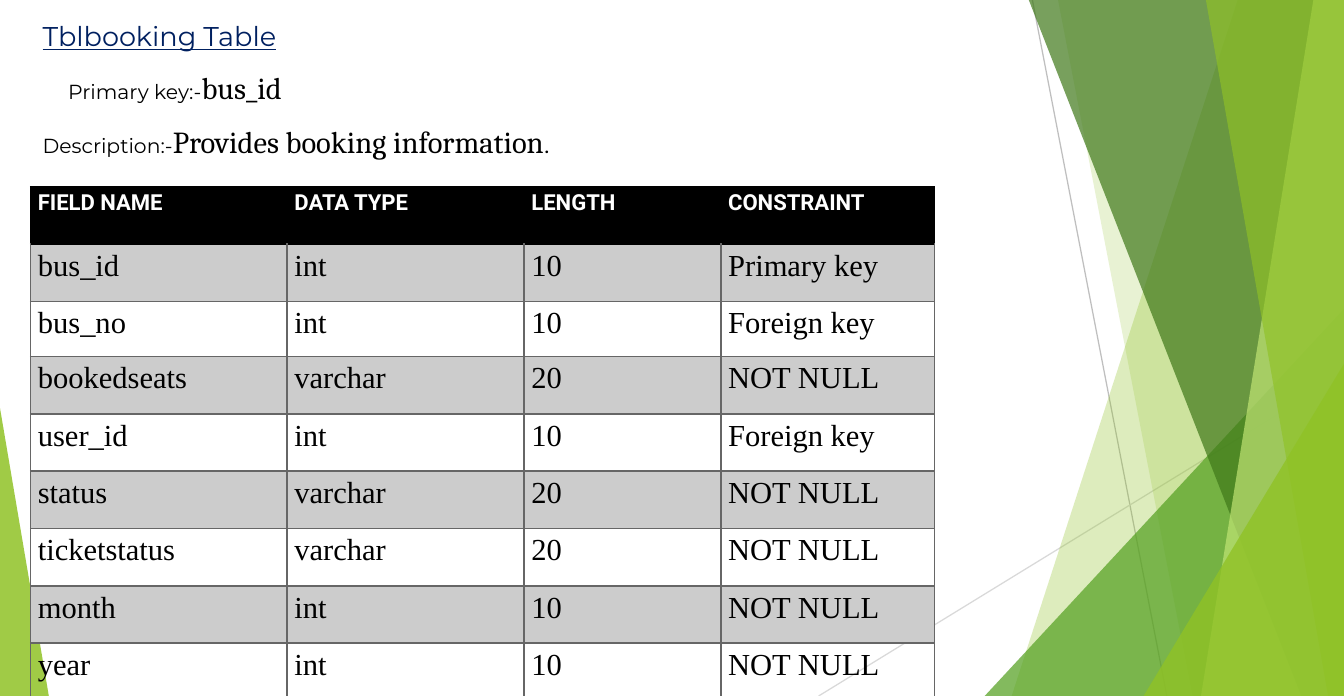
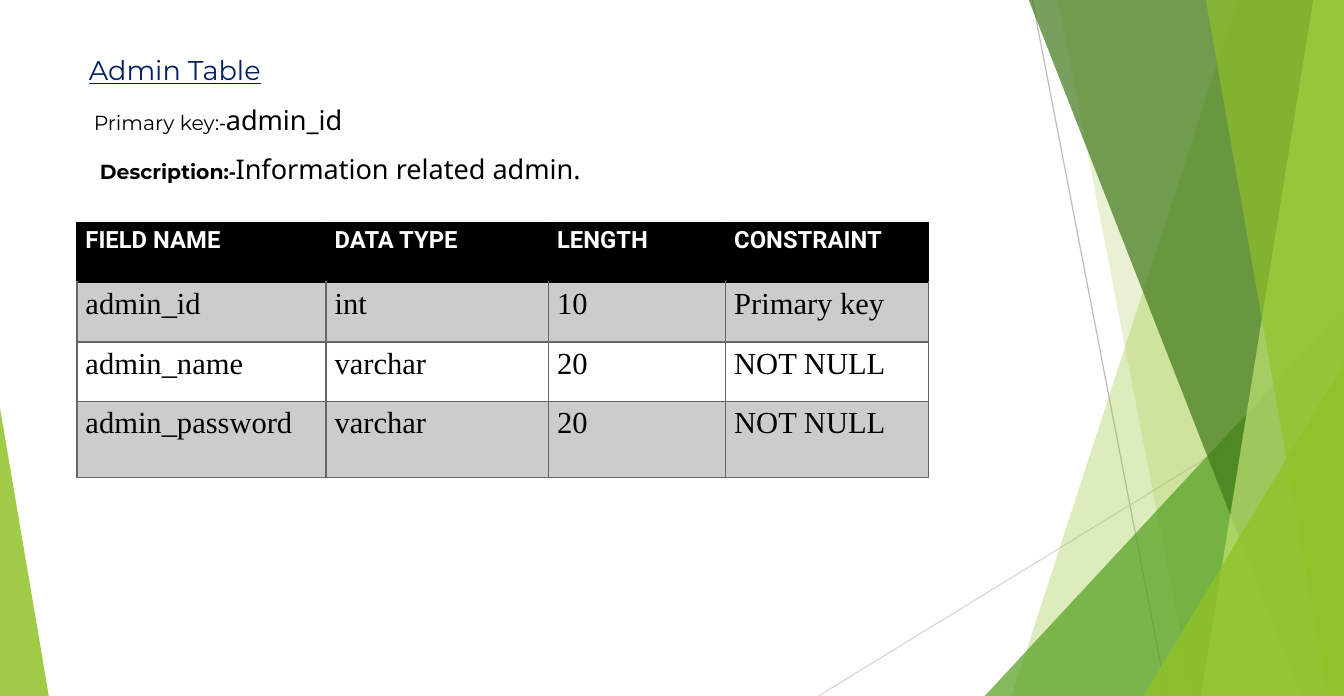
from dataclasses import dataclass, field

from lxml import etree
from pptx import Presentation
from pptx import util as u
from pptx.dml.color import RGBColor
from pptx.enum import shapes, text
from pptx.oxml import ns

WIDTH, HEIGHT = 11, 5.7


@dataclass
class Theme:
    """Colours, type styles and table measures."""
    lime: str = "90C226"
    green: str = "54A021"
    forest: str = "3F7819"
    pale_lime: str = "C0E474"
    rule: str = "BFBFBF"
    faint_rule: str = "D9D9D9"
    black: str = "000000"
    stripe: str = "CCCCCC"
    grid: str = "666666"
    line_spacing: float = 1.15
    styles: dict = field(default_factory=lambda: {
        "title": dict(name="Montserrat", size=16, color="002060", underline=True),
        "label": dict(name="Montserrat", size=12),
        "strong label": dict(name="Montserrat", size=12, bold=True),
        "dash": dict(name="Noto Sans", size=12),
        "strong dash": dict(name="Noto Sans", size=12, bold=True),
        "serif value": dict(name="Cambria", size=18),
        "sans value": dict(name="Noto Sans", size=16),
        "full stop": dict(name="Roboto", size=14),
        "header": dict(name="Roboto", size=13, color="FFFFFF", bold=True),
        "large header": dict(name="Roboto", size=14, color="FFFFFF", bold=True),
        "cell": dict(name="Times New Roman", size=18),
    })


class Deck:
    def __init__(self, theme):
        self.theme = theme
        self.prs = Presentation()
        self.prs.slide_width = u.Inches(WIDTH)
        self.prs.slide_height = u.Inches(HEIGHT)
        self.s = None

    def add_slide(self):
        self.s = self.prs.slides.add_slide(self.prs.slide_layouts[6])
        self.facets()

    # Shapes
    def line(self, start, end, color):
        ends = [u.Inches(v) for v in (*start, *end)]
        c = self.s.shapes.add_connector(shapes.MSO_CONNECTOR.STRAIGHT, *ends)
        c.line.color.rgb = RGBColor.from_string(color)
        c.line.width = u.Pt(0.75)
        etree.SubElement(c._element.spPr, ns.qn("a:effectLst"))

    def paint(self, sp, color, opacity):
        sp.shadow.inherit = False
        sp.line.fill.background()
        sp.fill.solid()
        sp.fill.fore_color.rgb = RGBColor.from_string(color)
        clr = sp._element.spPr.find(".//" + ns.qn("a:srgbClr"))
        etree.SubElement(clr, ns.qn("a:alpha"), val=str(opacity * 1000))

    def band(self, top_x, bottom_x, color, opacity):
        """Full-height band from a slanted left edge to the right slide edge."""
        corners = [(WIDTH, 0), (WIDTH, HEIGHT), (bottom_x, HEIGHT)]
        fb = self.s.shapes.build_freeform(u.Inches(top_x), 0)
        fb.add_line_segments([(u.Inches(x), u.Inches(y)) for x, y in corners])
        self.paint(fb.convert_to_shape(), color, opacity)

    def triangle(self, left, top, width, apex, color, opacity):
        """Triangle standing on the bottom slide edge."""
        box = [u.Inches(v) for v in (left, top, width, HEIGHT - top)]
        sp = self.s.shapes.add_shape(shapes.MSO_SHAPE.ISOSCELES_TRIANGLE, *box)
        sp.adjustments[0] = apex
        self.paint(sp, color, opacity)

    def facets(self):
        t = self.theme
        self.line((8.45, 0), (9.55, HEIGHT), t.rule)
        self.line((WIDTH, 3.06), (6.7, HEIGHT), t.faint_rule)
        self.band(10.13, 8.28, t.lime, 30)
        self.band(8.66, 9.76, t.lime, 20)
        self.triangle(8.06, 2.53, 2.94, 1, t.green, 72)
        self.band(8.42, 10.65, t.forest, 70)
        self.band(10.75, 9.83, t.pale_lime, 70)
        self.band(9.87, 10.87, t.lime, 65)
        self.triangle(9.36, 2.98, 1.64, 1, t.lime, 80)
        self.triangle(0, 3.34, 0.4, 0, t.lime, 85)

    # Text
    def run(self, p, words, style):
        r = p.add_run()
        r.text = words
        look = {"color": self.theme.black, "bold": False, **self.theme.styles[style]}
        r.font.color.rgb = RGBColor.from_string(look.pop("color"))
        look["size"] = u.Pt(look["size"])
        for key, value in look.items():
            setattr(r.font, key, value)

    def intro(self, box, lines):
        """Text box; each line is (indent, space after, runs)."""
        tf = self.s.shapes.add_textbox(*[u.Inches(v) for v in box]).text_frame
        tf.word_wrap = True
        tf.auto_size = text.MSO_AUTO_SIZE.SHAPE_TO_FIT_TEXT
        for i, (indent, after, runs) in enumerate(lines):
            p = tf.add_paragraph() if i else tf.paragraphs[0]
            p._p.get_or_add_pPr().set("marL", str(u.Inches(indent)))
            p.space_after = u.Pt(after)
            for words, style in runs:
                self.run(p, words, style)

    # Tables
    def borders(self, cell, color, top):
        tc_pr = cell._tc.get_or_add_tcPr()
        for side in "LRTB":
            ln = etree.SubElement(tc_pr, ns.qn("a:ln" + side), w=str(u.Pt(1)))
            fill = etree.SubElement(ln, ns.qn("a:solidFill"))
            etree.SubElement(fill, ns.qn("a:srgbClr"), val=top if side == "T" else color)

    def cell(self, cell, words, row, inset, header_style):
        t = self.theme
        grid = t.grid if row else t.black
        self.borders(cell, grid, t.black if row < 2 else grid)
        if row and row % 2 == 0:
            cell.fill.background()
        else:
            cell.fill.solid()
            cell.fill.fore_color.rgb = RGBColor.from_string(t.stripe if row else t.black)
        margins = dict(margin_left=inset, margin_right=inset, margin_top=0, margin_bottom=0)
        for key, value in margins.items():
            setattr(cell, key, u.Inches(value))
        p = cell.text_frame.paragraphs[0]
        p.line_spacing = t.line_spacing
        self.run(p, words, "cell" if row else header_style)

    def table(self, left, top, widths, heights, fields, inset, header_style):
        rows = [("FIELD NAME", "DATA TYPE", "LENGTH", "CONSTRAINT"), *fields]
        box = [u.Inches(v) for v in (left, top, sum(widths), sum(heights))]
        tbl = self.s.shapes.add_table(len(rows), len(widths), *box).table
        tbl.first_row = tbl.horz_banding = False
        for column, width in zip(tbl.columns, widths):
            column.width = u.Inches(width)
        for i, (height, row) in enumerate(zip(heights, rows)):
            tbl.rows[i].height = u.Inches(height)
            for j, words in enumerate(row):
                self.cell(tbl.cell(i, j), words, i, inset, header_style)


BOOKING_FIELDS = [
    ("bus_id", "int", "10", "Primary key"),
    ("bus_no", "int", "10", "Foreign key"),
    ("bookedseats", "varchar", "20", "NOT NULL"),
    ("user_id", "int", "10", "Foreign key"),
    ("status", "varchar", "20", "NOT NULL"),
    ("ticketstatus", "varchar", "20", "NOT NULL"),
    ("month", "int", "10", "NOT NULL"),
    ("year", "int", "10", "NOT NULL"),
]
ADMIN_FIELDS = [
    ("admin_id", "int", "10", "Primary key"),
    ("admin_name", "varchar", "20", "NOT NULL"),
    ("admin_password", "varchar", "20", "NOT NULL"),
]


def main():
    deck = Deck(Theme())

    # Booking table
    deck.add_slide()
    deck.intro((0.25, 0.11, 6.41, 1.26), [
        (0, 10, [("Tblbooking Table", "title")]),
        (0.21, 10, [("Primary key:-", "label"), ("bus_id", "serif value")]),
        (0, 10, [("Description:-", "label"),
                 ("Provides booking information", "serif value"), (".", "full stop")]),
    ])
    deck.table(0.25, 1.53, [2.1, 1.94, 1.61, 1.75],
               [0.47, 0.47, 0.45] + [0.47] * 5 + [0.45],
               BOOKING_FIELDS, 0.06, "header")

    # Admin table
    deck.add_slide()
    deck.intro((0.63, 0.39, 7.76, 1.19), [
        (0, 10, [("Admin Table", "title")]),
        (0.04, 10, [("Primary key:", "label"), ("-", "dash"), ("admin_id", "sans value")]),
        (0.09, 8, [("Description:", "strong label"), ("-", "strong dash"),
                   ("Information related admin.", "sans value")]),
    ])
    deck.table(0.63, 1.82, [2.04, 1.82, 1.45, 1.66], [0.49] * 3 + [0.62],
               ADMIN_FIELDS, 0.07, "large header")

    deck.prs.save("out.pptx")


if __name__ == "__main__":
    main()
